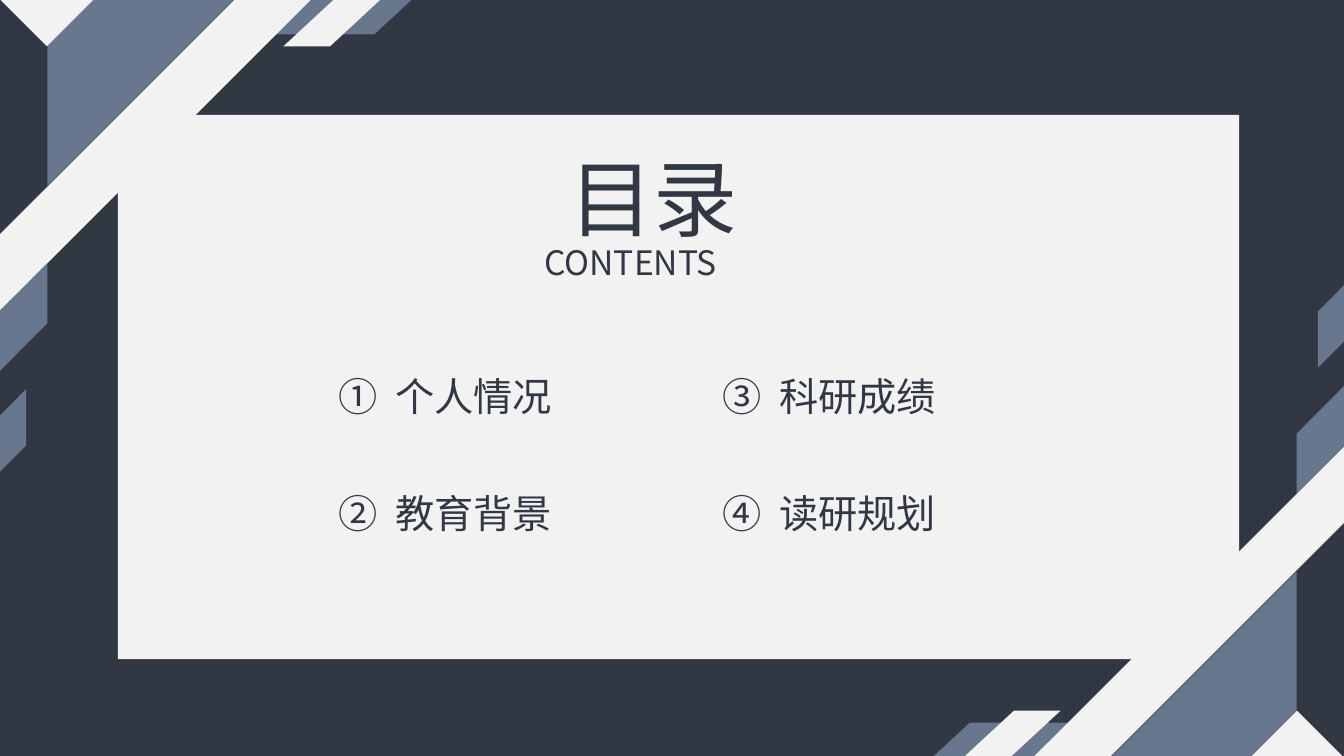
"""Build a contents slide with mirrored geometric corner decorations."""
from dataclasses import dataclass

import pptx
import pptx.dml.color
import pptx.enum.shapes
import pptx.enum.text
import pptx.oxml.ns
import pptx.util
from lxml import etree

Inches = pptx.util.Inches
SHAPES = pptx.enum.shapes.MSO_SHAPE
qn = pptx.oxml.ns.qn


@dataclass(frozen=True)
class Theme:
    dark: str = "313743"
    blue: str = "68778E"
    light: str = "F2F2F2"
    font: str = "Noto Sans CJK SC"
    title_size: int = 60
    subtitle_size: int = 24
    item_size: int = 28


theme = Theme()
presentation = pptx.Presentation()
presentation.slide_width = Inches(13.33)
presentation.slide_height = Inches(7.5)
slide = presentation.slides.add_slide(presentation.slide_layouts[6])
slide.background.fill.solid()
slide.background.fill.fore_color.rgb = pptx.dml.color.RGBColor.from_string(theme.dark)


def add_block(kind, left, top, width, height, color, rotation=0):
    shape = slide.shapes.add_shape(
        kind, Inches(left), Inches(top), Inches(width), Inches(height))
    shape.shadow.inherit = False
    shape.fill.solid()
    shape.fill.fore_color.rgb = pptx.dml.color.RGBColor.from_string(color)
    shape.line.fill.background()
    shape.rotation = rotation
    return shape


def add_text(left, top, width, height, lines, size, first_number=None):
    frame = slide.shapes.add_textbox(
        Inches(left), Inches(top), Inches(width), Inches(height)).text_frame
    frame.word_wrap = first_number is None
    frame.auto_size = pptx.enum.text.MSO_AUTO_SIZE.SHAPE_TO_FIT_TEXT
    for index, line in enumerate(lines):
        paragraph = frame.add_paragraph() if index else frame.paragraphs[0]
        if first_number is None:
            paragraph.alignment = pptx.enum.text.PP_ALIGN.JUSTIFY
        else:
            properties = paragraph._p.get_or_add_pPr()
            properties.set("marL", str(Inches(0.56)))
            properties.set("indent", str(Inches(-0.56)))
            bullet = etree.SubElement(properties, qn("a:buAutoNum"))
            bullet.set("type", "circleNumDbPlain")
            bullet.set("startAt", str(first_number))
            paragraph.line_spacing = 2.5
        run = paragraph.add_run()
        run.text = line
        run.font.size = pptx.util.Pt(size)
        run.font.name = theme.font
        run.font.color.rgb = pptx.dml.color.RGBColor.from_string(theme.dark)
        east_asian = etree.Element(qn("a:ea"), typeface=theme.font)
        run._r.get_or_add_rPr().find(qn("a:latin")).addnext(east_asian)


add_block(SHAPES.RECTANGLE, 1.17, 1.14, 11.12, 5.4, theme.light)

triangle, slant = SHAPES.RIGHT_TRIANGLE, SHAPES.PARALLELOGRAM
corner_pieces = [
    (slant, 9.24, 7.17, 2.15, 0.35, theme.blue, 0, 1.079),
    (triangle, 10.24, 4.43, 3.09, 3.09, theme.light, 270, None),
    (triangle, 11, 5.19, 2.33, 2.33, theme.dark, 270, None),
    (triangle, 11, 5.67, 1.86, 1.86, theme.blue, 270, None),
    (triangle, 12.53, 7.19, 0.67, 0.67, theme.light, 135, None),
    (slant, 9.55, 7.05, 0.97, 0.47, theme.light, 0, 1.079),
    (slant, 12.56, 4.13, 1.07, 0.47, theme.blue, 270, 1.007),
    (slant, 12.79, 3.11, 0.82, 0.26, theme.blue, 270, 1.007),
]
for opposite in (False, True):
    for kind, left, top, width, height, color, rotation, skew in corner_pieces:
        if opposite:
            left, top = 13.33 - left - width, 7.51 - top - height
            rotation = (rotation + 180) % 360
        piece = add_block(kind, left, top, width, height, color, rotation)
        if skew:
            piece.adjustments[0] = skew
            if rotation % 180 == 90:
                piece._element.spPr.find(qn("a:xfrm")).set("flipH", "1")

add_text(5.55, 1.4, 2.34, 1.11, ["目录"], theme.title_size)
add_text(5.3, 2.35, 2.85, 0.5, ["CONTENTS"], theme.subtitle_size)
add_text(3.26, 2.94, 2.34, 2.26, ["个人情况", "教育背景"], theme.item_size, 1)
add_text(7.07, 2.94, 2.34, 2.46, ["科研成绩", "读研规划"], theme.item_size, 3)

presentation.save("out.pptx")
